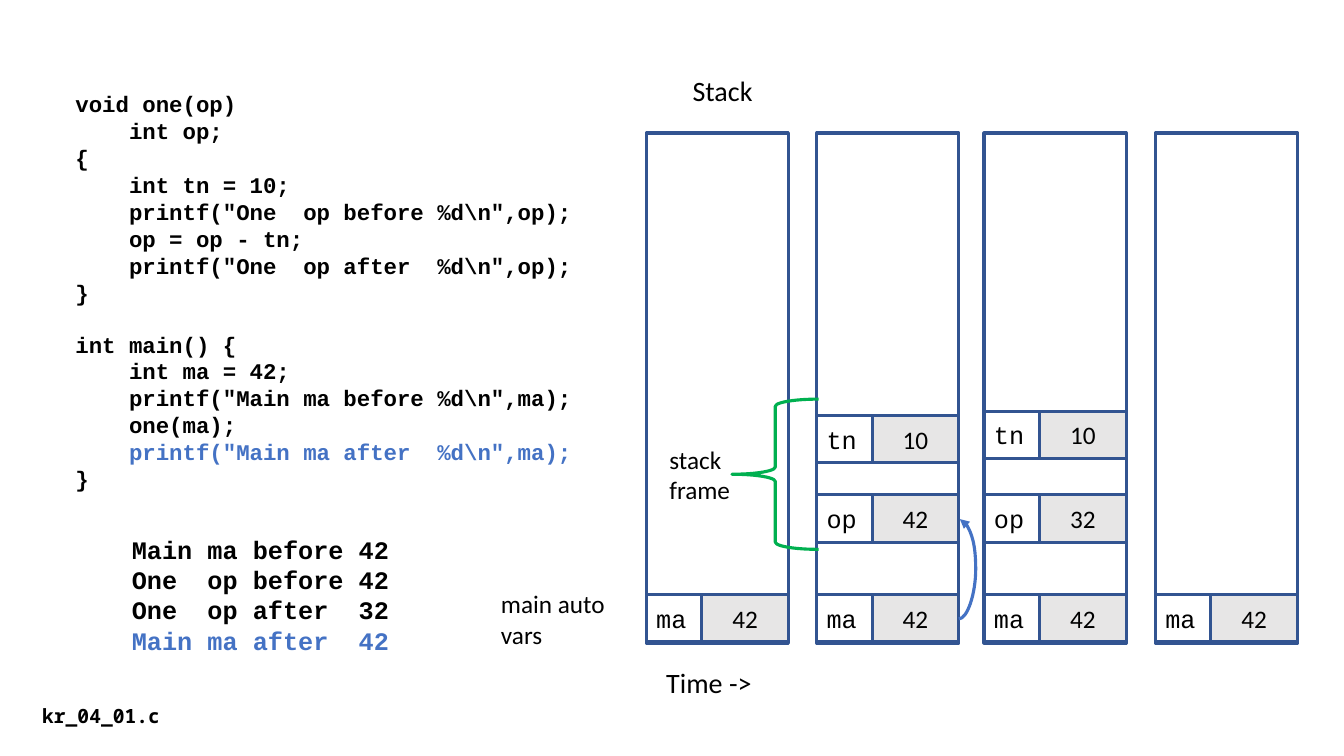
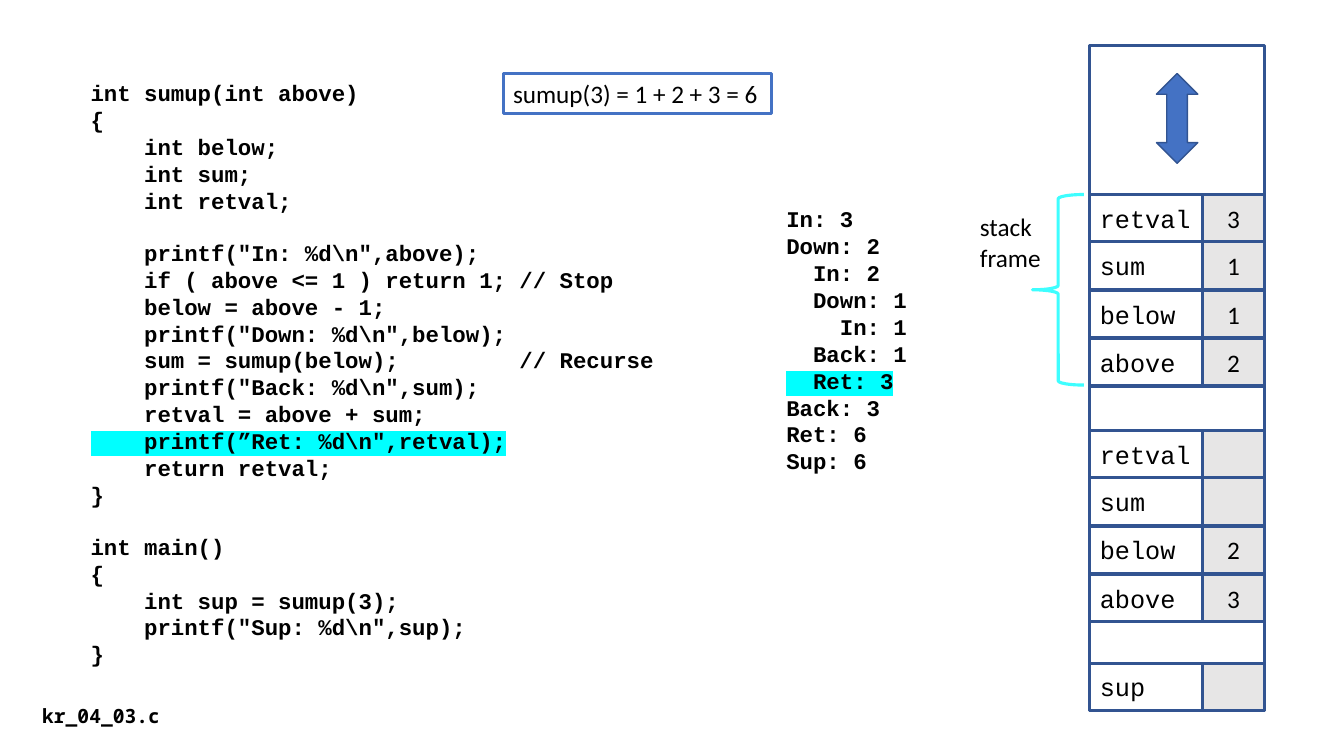
from lxml.etree import SubElement
from pptx import Presentation
from pptx.dml.color import RGBColor
from pptx.enum.shapes import MSO_CONNECTOR, MSO_SHAPE
from pptx.enum.text import MSO_ANCHOR, MSO_AUTO_SIZE, PP_ALIGN
from pptx.oxml.ns import qn
from pptx.util import Emu, Pt

PX = 9144
COLORS = {
    "text": "000000", "paper": "FFFFFF", "value": "E7E6E6", "border": "325491",
    "accent": "4472C4", "green": "00B050", "cyan": "3EFEFF", "marker": "00FFFF",
}
CODE_FONT, BODY_FONT, FILE_FONT = "Courier New", "Calibri", "Noto Sans Mono"
ROW_HEIGHT, ROW_STEP = 47, 47.5
FRAME_LABEL = "stack\nframe"

CALL_CODE = r'''void one(op)
    int op;
{
    int tn = 10;
    printf("One  op before %d\n",op);
    op = op - tn;
    printf("One  op after  %d\n",op);
}

int main() {
    int ma = 42;
    printf("Main ma before %d\n",ma);
    one(ma);
    printf("Main ma after  %d\n",ma);
}'''
CALL_OUTPUT = '''Main ma before 42
One  op before 42
One  op after  32
Main ma after  42'''
CALL_ACCENTS = ('    printf("Main ma after  %d\\n",ma);', "Main ma after  42")
CALL_STACKS = [
    (641, [(590, "ma", "42")]),
    (810, [(590, "ma", "42"), (491, "op", "42"), (412, "tn", "10")]),
    (976, [(590, "ma", "42"), (491, "op", "32"), (408, "tn", "10")]),
    (1146, [(590, "ma", "42")]),
]

SUM_CODE = r'''int sumup(int above)
{
    int below;
    int sum;
    int retval;

    printf("In: %d\n",above);
    if ( above <= 1 ) return 1; // Stop
    below = above - 1;
    printf("Down: %d\n",below);
    sum = sumup(below);         // Recurse
    printf("Back: %d\n",sum);
    retval = above + sum;
    printf(”Ret: %d\n",retval);
    return retval;
}

int main()
{
    int sup = sumup(3);
    printf("Sup: %d\n",sup);
}'''
SUM_OUTPUT = '''In: 3
Down: 2
  In: 2
  Down: 1
    In: 1
  Back: 1
  Ret: 3
Back: 3
Ret: 6
Sup: 6'''
SUM_MARKED = ('    printf(”Ret: %d\\n",retval);', "  Ret: 3")
SUM_FRAMES = [
    (658, [("sup", "")]),
    (427, [("retval", ""), ("sum", ""), ("below", "2"), ("above", "3")]),
    (193, [("retval", "3"), ("sum", "1"), ("below", "1"), ("above", "2")]),
]


def color(name):
    return RGBColor.from_string(COLORS[name])


def px(*lengths):
    return [Emu(round(length) * PX) for length in lengths]


def write(box, text, size=18, font=BODY_FONT, bold=False, align=PP_ALIGN.LEFT,
          accents=(), marked=()):
    para, gap = box.text_frame.paragraphs[0], 0
    for index, line in enumerate(text.split("\n")):
        if not line:
            gap += size * 1.13
            continue
        if index:
            para = box.text_frame.add_paragraph()
        para.alignment = align
        if gap:
            para.space_before, gap = Pt(round(gap)), 0
        span = para.add_run()
        span.text = line
        span.font.size, span.font.bold, span.font.name = Pt(size), bold, font
        span.font.color.rgb = color("accent" if line in accents else "text")
        if line in marked:
            properties = span.font._element
            highlight = SubElement(properties, qn("a:highlight"))
            SubElement(highlight, qn("a:srgbClr"), val=COLORS["marker"])
            properties.find(qn("a:solidFill")).addnext(highlight)


def add_text(page, at, text, wrap=False, **style):
    box = page.shapes.add_textbox(*px(*at))
    box.text_frame.word_wrap = wrap
    box.text_frame.auto_size = MSO_AUTO_SIZE.SHAPE_TO_FIT_TEXT
    write(box, text, **style)
    return box


def add_figure(page, at, kind=MSO_SHAPE.RECTANGLE, fill="paper", line="border", width=2.25):
    shape = page.shapes.add_shape(kind, *px(*at))
    shape.shadow.inherit = False
    if fill:
        shape.fill.solid()
        shape.fill.fore_color.rgb = color(fill)
    else:
        shape.fill.background()
    shape.line.color.rgb, shape.line.width = color(line), Pt(width)
    return shape


def add_variable(page, left, top, width, value_width, name, value):
    cells = [
        (left, width, "paper", name, CODE_FONT, PP_ALIGN.LEFT),
        (left + width - value_width, value_width, "value", value, BODY_FONT, PP_ALIGN.CENTER),
    ]
    for x, cell_width, fill, text, font, align in cells:
        cell = add_figure(page, (x, top, cell_width, ROW_HEIGHT), fill=fill)
        cell.text_frame.vertical_anchor = MSO_ANCHOR.MIDDLE
        write(cell, text, font=font, align=align)


def add_brace(page, at, line):
    add_figure(page, at, kind=MSO_SHAPE.LEFT_BRACE, fill=None, line=line)


def add_copy_arrow(page, start, end, bulge):
    arrow = page.shapes.add_connector(MSO_CONNECTOR.CURVE, *px(*start, *end))
    arrow.line.color.rgb, arrow.line.width = color("accent"), Pt(2.25)
    properties = arrow._element.spPr
    adjustments = properties.find(qn("a:prstGeom")).find(qn("a:avLst"))
    ratio = round(bulge / (end[0] - start[0]) * 100000)
    SubElement(adjustments, qn("a:gd"), name="adj1", fmla=f"val {ratio}")
    SubElement(properties.find(qn("a:ln")), qn("a:tailEnd"), type="triangle")
    SubElement(properties, qn("a:effectLst"))


def add_page(deck, file_name):
    page = deck.slides.add_slide(deck.slide_layouts[6])
    add_text(page, (32, 693, 151, 34), file_name, wrap=True, size=14, font=FILE_FONT, bold=True)
    return page


def build_call_page(deck):
    page = add_page(deck, "kr_04_01.c")
    code = {"font": CODE_FONT, "bold": True, "accents": CALL_ACCENTS}
    add_text(page, (65, 85, 520, 414), CALL_CODE, size=16, **code)
    add_text(page, (121, 525, 276, 131), CALL_OUTPUT, **code)
    add_text(page, (677, 68, 81, 44), "Stack", size=20)
    add_text(page, (651, 655, 106, 44), "Time ->", size=20)
    for left, variables in CALL_STACKS:
        add_figure(page, (left, 132, 141, 506))
        for top, name, value in variables:
            add_variable(page, left, top, 141, 86, name, value)
    add_text(page, (487, 579, 141, 71), "main auto vars", wrap=True)
    add_copy_arrow(page, (951, 614), (952, 515), 17)
    add_text(page, (654, 436, 88, 71), FRAME_LABEL, wrap=True)
    add_brace(page, (726, 396, 86, 149), "green")


def build_sum_page(deck):
    page = add_page(deck, "kr_04_03.c")
    code = {"size": 16, "font": CODE_FONT, "bold": True, "marked": SUM_MARKED}
    add_text(page, (80, 74, 587, 602), SUM_CODE, **code)
    add_text(page, (770, 199, 142, 279), SUM_OUTPUT, **code)
    add_figure(page, (1081, 45, 173, 660))
    for top, variables in SUM_FRAMES:
        for index, (name, value) in enumerate(variables):
            add_variable(page, 1081, top + index * ROW_STEP, 173, 61, name, value)
    add_figure(page, (1147, 73, 41, 89), kind=MSO_SHAPE.UP_DOWN_ARROW, fill="accent", width=1)
    add_brace(page, (1024, 193, 51, 189), "cyan")
    add_text(page, (962, 205, 88, 71), FRAME_LABEL, wrap=True)
    formula = add_text(page, (499, 73, 266, 40), "sumup(3) = 1 + 2 + 3 = 6")
    formula.line.color.rgb, formula.line.width = color("accent"), Pt(2.25)


def main():
    deck = Presentation()
    deck.slide_width, deck.slide_height = px(1333, 750)
    build_call_page(deck)
    build_sum_page(deck)
    deck.save("out.pptx")


if __name__ == "__main__":
    main()
